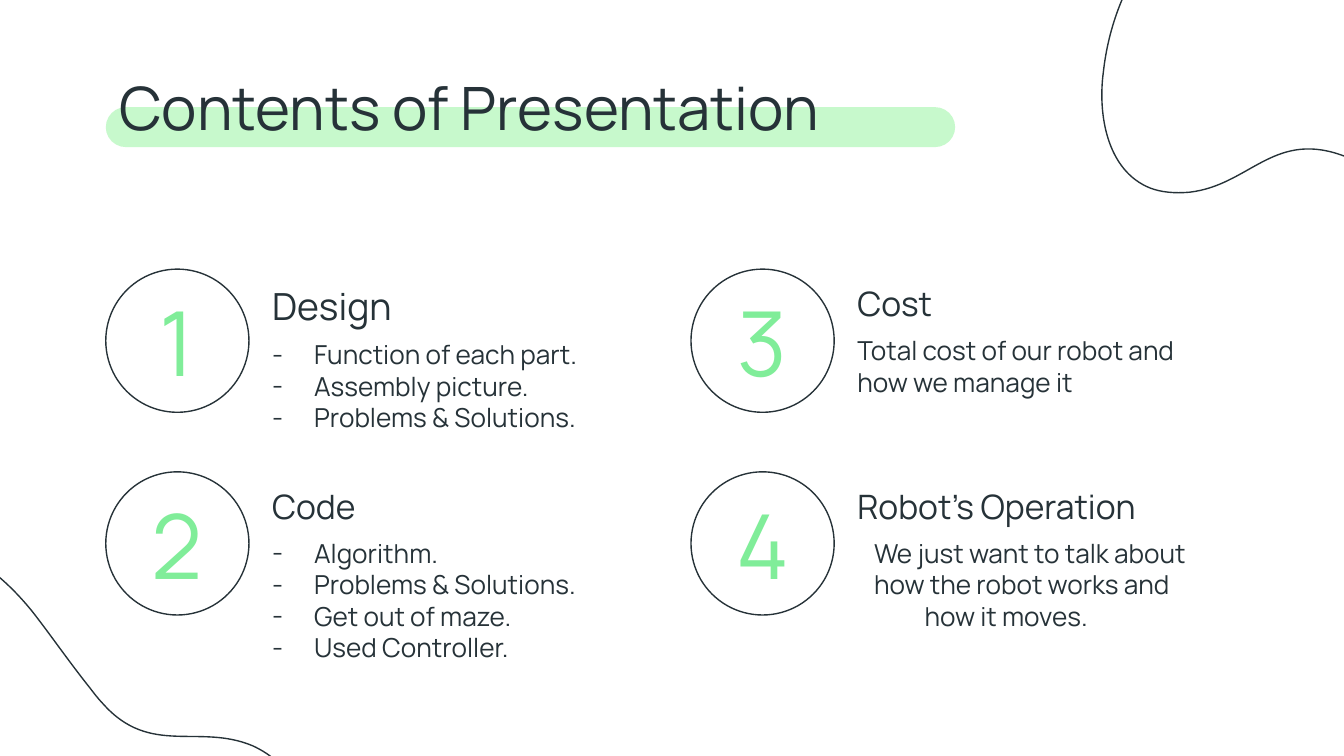
"""Build the contents slide of a robot project presentation."""
from lxml.etree import SubElement as Sub
from pptx import Presentation
from pptx.dml.color import RGBColor as RGB
from pptx.enum.shapes import MSO_SHAPE as Shape
from pptx.enum.text import MSO_ANCHOR as Anchor, MSO_AUTO_SIZE as Auto, PP_ALIGN as Align
from pptx.oxml.ns import qn
from pptx.util import Pt

INK = RGB(0x26, 0x32, 0x38)
GREEN = RGB(0x80, 0xED, 0x99)
PALE = RGB(0xC7, 0xF9, 0xCC)
FONT = "Manrope"

CORNER = [
    (616.3, 100.8),
    (622.1, 103), (629.3, 103.7), (637.2, 103),
    (668.9, 99.4), (681.8, 70.6), (717.8, 82.8),
    (721.4, 84.2), (725, 85), (728.6, 86.4),
    (745.2, 92.9), (760.3, 100.8), (775.4, 106.6),
    (794.2, 113.8), (812.9, 118.1), (836.6, 114.5),
    (877.7, 109.4), (895, 85), (900, 51.1),
    (910.1, -7.9), (872.6, -51.1), (818.6, -72),
    (795.6, -80.6), (769.7, -85), (743, -85),
    (658.1, -85), (599, -33.1), (591.1, 38.9),
    (588.2, 60.5), (592.6, 91.4), (616.3, 100.8),
]
FOOT = [
    (152.6, 412.6),
    (148.3, 407.5), (143.3, 403.2), (135.4, 399.6),
    (106.6, 387.4), (80.6, 405.4), (55.4, 377.3),
    (52.6, 374.4), (50.4, 371.5), (48.2, 368.6),
    (36.7, 354.2), (27.4, 340.6), (17.3, 327.6),
    (5, 312.5), (-9.4, 299.5), (-31.7, 290.2),
    (-69.8, 274.3), (-96.5, 287.3), (-118.8, 313.9),
    (-156.2, 360), (-145.4, 416.2), (-109.4, 460.8),
    (-93.6, 480.2), (-73.4, 496.8), (-50.4, 510.5),
    (23, 552.2), (100.1, 537.1), (143.3, 478.8),
    (156.2, 461.5), (168.5, 432), (152.6, 412.6),
]
TOPICS = [
    ("1", "Design", 20, 174.2, 78.5, "dash",
     ["Function of each part.", "Assembly picture.", "Problems & Solutions."]),
    ("2", "Code", 18, 280.6, 74.9, "dash",
     ["Algorithm.", "Problems & Solutions.", "Get out of maze.", "Used Controller."]),
    ("3", "Cost", 18, 172.1, 48.2, "plain",
     ["Total cost of our robot and how we manage it"]),
    ("4", "Robot’s Operation", 18, 280.6, 74.9, "hang",
     ["We just want to talk about", "how the robot works and how it moves."]),
]
INDENTS = {"dash": (22.5, -22.5), "hang": (36, -27)}


def outline(shape):
    shape.shadow.inherit = False
    shape.fill.background()
    shape.line.color.rgb = INK
    shape.line.width = Pt(0.75)


def write(box, lines, size, color=INK, align=Align.LEFT, anchor=Anchor.TOP, style="plain"):
    frame = box.text_frame
    frame.text = "\n".join(lines)
    frame.word_wrap = True
    frame.auto_size = Auto.NONE
    frame.vertical_anchor = anchor
    frame.margin_left = frame.margin_right = Pt(7.2)
    frame.margin_top = frame.margin_bottom = Pt(7.2)
    for para in frame.paragraphs:
        para.alignment = align
        if style in INDENTS:
            props = para._p.get_or_add_pPr()
            left, first = INDENTS[style]
            props.set("marL", str(Pt(left)))
            props.set("indent", str(Pt(first)))
            if style == "dash":
                tint = Sub(props, qn("a:buClr"))
                Sub(tint, qn("a:srgbClr"), val=str(INK))
                Sub(props, qn("a:buFont"), typeface=FONT)
                Sub(props, qn("a:buChar"), char="-")
        para.font.name = FONT
        para.font.size = Pt(size)
        para.font.color.rgb = color


deck = Presentation()
deck.slide_width, deck.slide_height = Pt(720), Pt(405)
slide = deck.slides.add_slide(deck.slide_layouts[5])
shapes = slide.shapes

title = shapes.title
title.left, title.top, title.width, title.height = Pt(56.7), Pt(30.7), Pt(607), Pt(48.2)
write(title, ["Contents of Presentation"], 32)

band = shapes.add_shape(Shape.ROUNDED_RECTANGLE, Pt(56.7), Pt(57.4), Pt(455), Pt(21.4))
band.adjustments[0] = 0.5
band.shadow.inherit = False
band.fill.solid()
band.fill.fore_color.rgb = PALE
band.line.fill.background()
title._element.addprevious(band._element)

for knots in (CORNER, FOOT):
    pen = shapes.build_freeform(Pt(knots[0][0]), Pt(knots[0][1]))
    pen.add_line_segments([(Pt(x), Pt(y)) for x, y in knots[1:]], close=True)
    wave = pen.convert_to_shape()
    outline(wave)
    legs = list(wave._element.iter(qn("a:lnTo")))
    for i in range(0, len(knots) - 1, 3):
        legs[i].tag = qn("a:cubicBezTo")
        for leg in legs[i + 1:i + 3]:
            legs[i].append(leg[0])
            leg.getparent().remove(leg)

for i, (num, head, size, top, high, style, lines) in enumerate(TOPICS):
    col, row = divmod(i, 2)
    x, y = 56.7 + 313.5 * col, 144.2 + 108.6 * row
    ring = shapes.add_shape(Shape.OVAL, Pt(x), Pt(y), Pt(76.7), Pt(76.7))
    outline(ring)
    box = shapes.add_textbox(Pt(x + 3.4), Pt(y + 10.6), Pt(69.8), Pt(55.4))
    write(box, [num], 48, GREEN, Align.CENTER, Anchor.MIDDLE)
    box = shapes.add_textbox(Pt(x + 82), Pt(y + 0.2), Pt(211), Pt(29.5))
    write(box, [head], size)
    box = shapes.add_textbox(Pt(x + 82), Pt(top), Pt(211), Pt(high))
    write(box, lines, 14, style=style)

deck.save("out.pptx")
